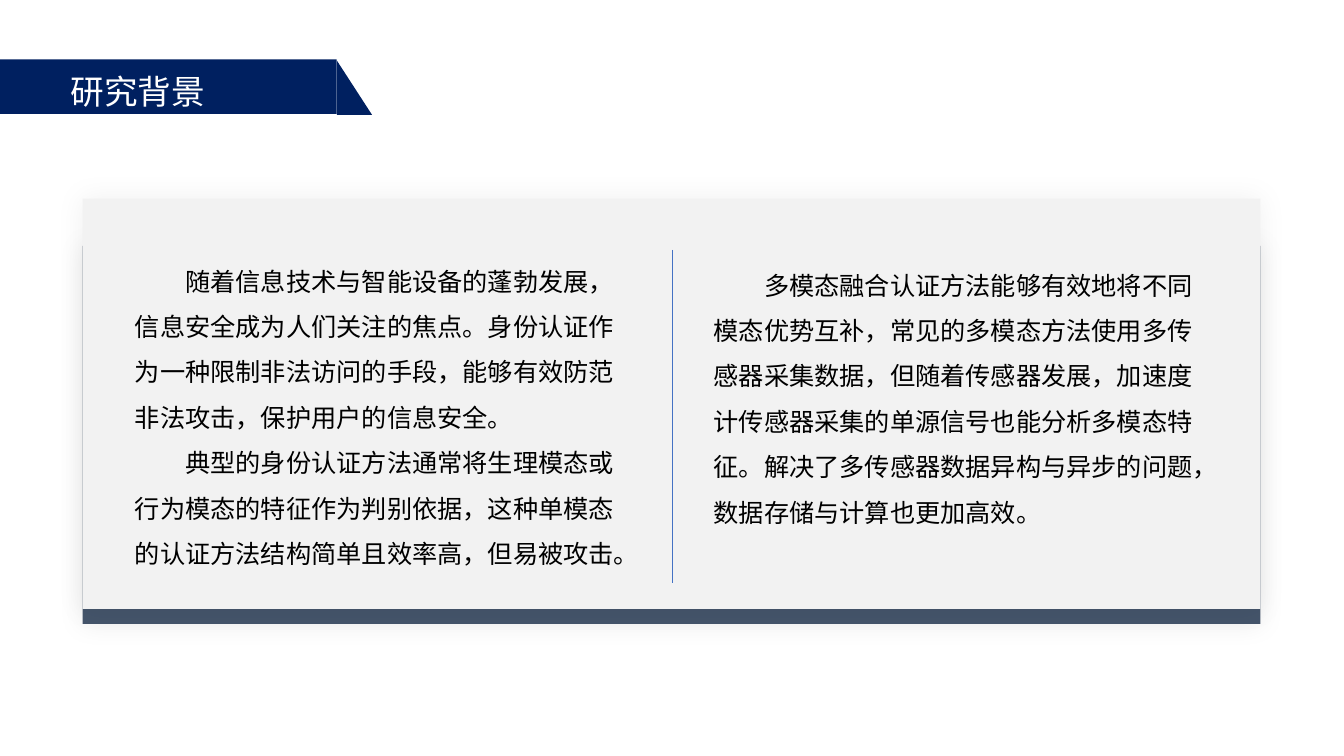
from lxml import etree
from pptx import Presentation
from pptx.dml.color import RGBColor
from pptx.enum.lang import MSO_LANGUAGE_ID as Language
from pptx.enum.shapes import MSO_CONNECTOR as Connector, MSO_SHAPE as Shape
from pptx.enum.text import MSO_ANCHOR as Anchor, PP_ALIGN as Align
from pptx.oxml import parse_xml
from pptx.oxml.ns import nsdecls, qn
from pptx.util import Inches, Pt

NAVY = RGBColor(0x00, 0x20, 0x60)
SLATE = RGBColor(0x44, 0x54, 0x6A)
PALE = RGBColor(0xF2, 0xF2, 0xF2)
BLUE = RGBColor(0x44, 0x72, 0xC4)
BLACK = RGBColor(0x00, 0x00, 0x00)
WHITE = RGBColor(0xFF, 0xFF, 0xFF)

PANEL_LEFT, PANEL_WIDTH = 0.82, 11.68
COLUMNS = [
    (1.24, 2.44, [
        "随着信息技术与智能设备的蓬勃发展，信息安全成为人们关注的焦点。身份认证作为一种限制非法访问的手段，能够有效防范非法攻击，保护用户的信息安全。",
        "典型的身份认证方法通常将生理模态或行为模态的特征作为判别依据，这种单模态的认证方法结构简单且效率高，但易被攻击。",
    ]),
    (6.98, 2.48, [
        "多模态融合认证方法能够有效地将不同模态优势互补，常见的多模态方法使用多传感器采集数据，但随着传感器发展，加速度计传感器采集的单源信号也能分析多模态特征。解决了多传感器数据异构与异步的问题，数据存储与计算也更加高效。",
    ]),
]


def add_block(kind, box, color, shadow=None):
    block = page.shapes.add_shape(kind, *map(Inches, box))
    block.fill.solid()
    block.fill.fore_color.rgb = color
    block.line.fill.background()
    block.shadow.inherit = False
    if shadow:
        opacity, blur = shadow
        effects = block.element.spPr.find(qn("a:effectLst"))
        effects.append(parse_xml(
            f'<a:outerShdw {nsdecls("a")} blurRad="{Pt(blur)}" dist="0" algn="ctr" rotWithShape="0">'
            f'<a:srgbClr val="000000"><a:alpha val="{opacity * 1000}"/></a:srgbClr></a:outerShdw>'))


def write(para, text, font_name, size, color):
    span = para.add_run()
    span.text = text
    formats = {"name": font_name, "size": Pt(size), "language_id": Language.SIMPLIFIED_CHINESE}
    for key, value in formats.items():
        setattr(span.font, key, value)
    span.font.color.rgb = color
    etree.SubElement(span.font._element, qn("a:ea")).set("typeface", font_name)


deck = Presentation()
deck.slide_width, deck.slide_height = Inches(13.33), Inches(7.5)
page = deck.slides.add_slide(deck.slide_layouts[5])

add_block(Shape.RECTANGLE, (0, 0.59, 3.34, 0.54), NAVY)
add_block(Shape.RIGHT_TRIANGLE, (3.34, 0.6, 0.35, 0.54), NAVY)

title = page.shapes.title
title_format = {"left": 0.6, "top": 0.65, "width": 3.08, "height": 0.5}
for key, value in title_format.items():
    setattr(title, key, Inches(value))
frame_format = {"margin_top": 0, "margin_bottom": 0, "vertical_anchor": Anchor.MIDDLE, "word_wrap": True}
for key, value in frame_format.items():
    setattr(title.text_frame, key, value)
heading = title.text_frame.paragraphs[0]
heading.alignment = Align.LEFT
write(heading, "研究背景", "Noto Sans CJK SC", 24, WHITE)
page.shapes._spTree.append(title.element)

add_block(Shape.RECTANGLE, (PANEL_LEFT, 2.44, PANEL_WIDTH, 3.75), SLATE, (8, 18))
add_block(Shape.RECTANGLE, (PANEL_LEFT, 1.97, PANEL_WIDTH, 4.07), PALE, (6, 20))

divider = page.shapes.add_connector(
    Connector.STRAIGHT, Inches(6.67), Inches(2.48), Inches(6.67), Inches(5.78))
divider.line.color.rgb = BLUE
divider.line.width = Pt(0.5)
etree.SubElement(divider.element.spPr, qn("a:effectLst"))

for left, top, paragraphs in COLUMNS:
    box = page.shapes.add_textbox(Inches(left), Inches(top), Inches(5.12), Inches(3.28))
    frame = box.text_frame
    frame.word_wrap = True
    for index, text in enumerate(paragraphs):
        para = frame.add_paragraph() if index else frame.paragraphs[0]
        para.line_spacing = 1.5
        para._p.get_or_add_pPr().set("indent", str(Inches(0.5)))
        write(para, text, "Calibri", 18, BLACK)

deck.save("out.pptx")
